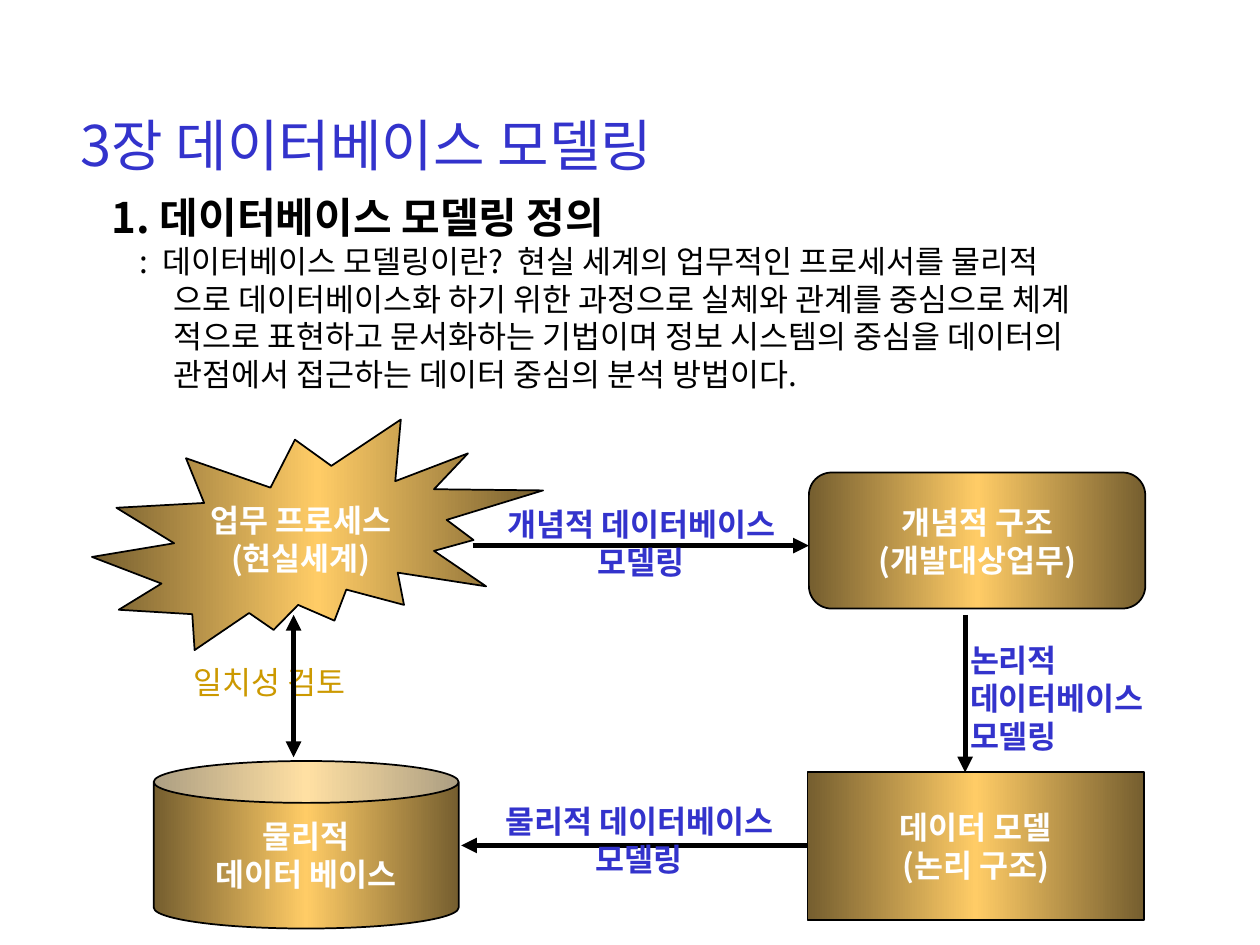
"""Build the database modelling slide with its process diagram."""
from copy import deepcopy

from lxml import etree
from pptx import Presentation
from pptx.dml.color import RGBColor
from pptx.enum.shapes import MSO_CONNECTOR, MSO_SHAPE
from pptx.enum.text import MSO_ANCHOR, PP_ALIGN
from pptx.oxml.ns import qn
from pptx.util import Inches, Pt

LEFT, CENTER = PP_ALIGN.LEFT, PP_ALIGN.CENTER
TOP, MIDDLE = MSO_ANCHOR.TOP, MSO_ANCHOR.MIDDLE
SEAL, CAN = MSO_SHAPE.EXPLOSION2, MSO_SHAPE.CAN
ROUNDED, RECTANGLE = MSO_SHAPE.ROUNDED_RECTANGLE, MSO_SHAPE.RECTANGLE
STRAIGHT = MSO_CONNECTOR.STRAIGHT

FONT = "Noto Sans CJK KR"
BLUE, BLACK, WHITE, OCHRE = "3333CC", "000000", "FFFFFF", "CC9900"
BRONZE, GOLD = "755E2F", "FFCC66"
LINE_HEIGHT = 1.2

TITLE = ("3장 데이터베이스 모델링", (0.54, 0.83, 8.88, 0.64))
BODY_PLACE = (0.79, 1.47, 8.71, 1.77)
BODY = [
    ("1. 데이터베이스 모델링 정의", 24, True, 0),
    (":  데이터베이스 모델링이란?  현실 세계의 업무적인 프로세서를 물리적", 18, False, 0.22),
    ("으로 데이터베이스화 하기 위한 과정으로 실체와 관계를 중심으로 체계\v"
     "적으로 표현하고 문서화하는 기법이며 정보 시스템의 중심을 데이터의\v"
     "관점에서 접근하는 데이터 중심의 분석 방법이다.", 18, False, 0.49),
]
STAGES = [
    (SEAL, "업무 프로세스\v(현실세계)", (0.73, 3.33, 3.58, 1.83)),
    (CAN, "물리적\v데이터 베이스", (1.22, 6.04, 2.42, 1.33)),
    (ROUNDED, "개념적 구조\v(개발대상업무)", (6.42, 3.75, 2.67, 1.08)),
    (RECTANGLE, "데이터 모델\v(논리 구조)", (6.41, 6.13, 2.67, 1.17)),
]
ARROWS = [
    ((6.41, 6.71), (3.66, 6.71), ["tailEnd"]),
    ((7.66, 4.88), (7.66, 6.13), ["tailEnd"]),
    ((3.75, 4.33), (6.42, 4.33), ["tailEnd"]),
    ((2.33, 6.01), (2.33, 4.88), ["headEnd", "tailEnd"]),
]
REVIEW = ("일치성 검토", (1.44, 5.21, 2.02, 0.4), OCHRE, False, LEFT)
STEPS = [
    ("논리적 데이터베이스 모델링", (7.6, 5.04, 1.92, 1), BLUE, True, LEFT),
    ("개념적 데이터베이스\v모델링", (3.92, 3.96, 2.34, 0.7), BLUE, True, CENTER),
    ("물리적 데이터베이스 모델링", (3.74, 6.32, 2.67, 0.7), BLUE, True, CENTER),
]


def color(value):
    """Turn a hex string into a colour."""
    return RGBColor.from_string(value)


def inches(values):
    """Turn numbers into lengths."""
    return [Inches(value) for value in values]


def write(para, text, size, ink, bold=False, align=LEFT):
    """Fill a paragraph with formatted text."""
    para.text = text
    layout = {"alignment": align, "line_spacing": Pt(size * LINE_HEIGHT), "space_before": Pt(0)}
    for name, value in layout.items():
        setattr(para, name, value)
    for span in para.runs:
        for name, value in {"size": Pt(size), "bold": bold, "name": FONT}.items():
            setattr(span.font, name, value)
        span.font.color.rgb = color(ink)
        etree.SubElement(span.font._element, qn("a:ea"), typeface=FONT)


def add_title(page):
    """Place and format the title."""
    text, place = TITLE
    box = page.shapes.title
    box.left, box.top, box.width, box.height = inches(place)
    box.text_frame.vertical_anchor = TOP
    write(box.text_frame.paragraphs[0], text, 32, BLUE)


def add_body(page):
    """Add the heading and the definition below it."""
    frame = page.shapes.add_textbox(*inches(BODY_PLACE)).text_frame
    frame.word_wrap = True
    for index, (text, size, bold, margin) in enumerate(BODY):
        para = frame.add_paragraph() if index else frame.paragraphs[0]
        write(para, text, size, BLACK, bold)
        para._p.get_or_add_pPr().set("marL", str(Inches(margin)))


def add_stage(page, kind, text, place):
    """Add one gold stage of the process."""
    shape = page.shapes.add_shape(kind, *inches(place))
    shape.shadow.inherit = False
    shape.line.color.rgb = color(BLACK)
    shape.line.width = Pt(1)
    shape.fill.gradient()
    shape.fill.gradient_angle = 0
    stops = shape._element.spPr.find(".//" + qn("a:gsLst"))
    stops.insert(1, deepcopy(stops[0]))
    for stop, position, tone in zip(shape.fill.gradient_stops, (0, 0.5, 1), (BRONZE, GOLD, BRONZE)):
        stop.position = position
        stop.color.rgb = color(tone)
    frame = shape.text_frame
    frame.word_wrap = False
    frame.vertical_anchor = MIDDLE
    write(frame.paragraphs[0], text, 18, WHITE, True, CENTER)


def add_label(page, text, place, ink, bold, align):
    """Add the label of an arrow."""
    frame = page.shapes.add_textbox(*inches(place)).text_frame
    frame.word_wrap = True
    write(frame.paragraphs[0], text, 18, ink, bold, align)


def add_arrow(page, start, end, heads):
    """Add a thick arrow with the given heads."""
    arrow = page.shapes.add_connector(STRAIGHT, *inches(start + end))
    arrow.line.color.rgb = color(BLACK)
    arrow.line.width = Pt(3)
    for head in heads:
        etree.SubElement(arrow.line._get_or_add_ln(), qn("a:" + head), type="triangle")
    etree.SubElement(arrow._element.spPr, qn("a:effectLst"))


def main():
    """Build and save the deck."""
    deck = Presentation()
    deck.slide_width, deck.slide_height = inches((10, 7.5))
    page = deck.slides.add_slide(deck.slide_layouts.get_by_name("Title Only"))
    add_title(page)
    add_body(page)
    for stage in STAGES:
        add_stage(page, *stage)
    add_label(page, *REVIEW)
    for arrow in ARROWS:
        add_arrow(page, *arrow)
    for step in STEPS:
        add_label(page, *step)
    deck.save("out.pptx")


if __name__ == "__main__":
    main()
